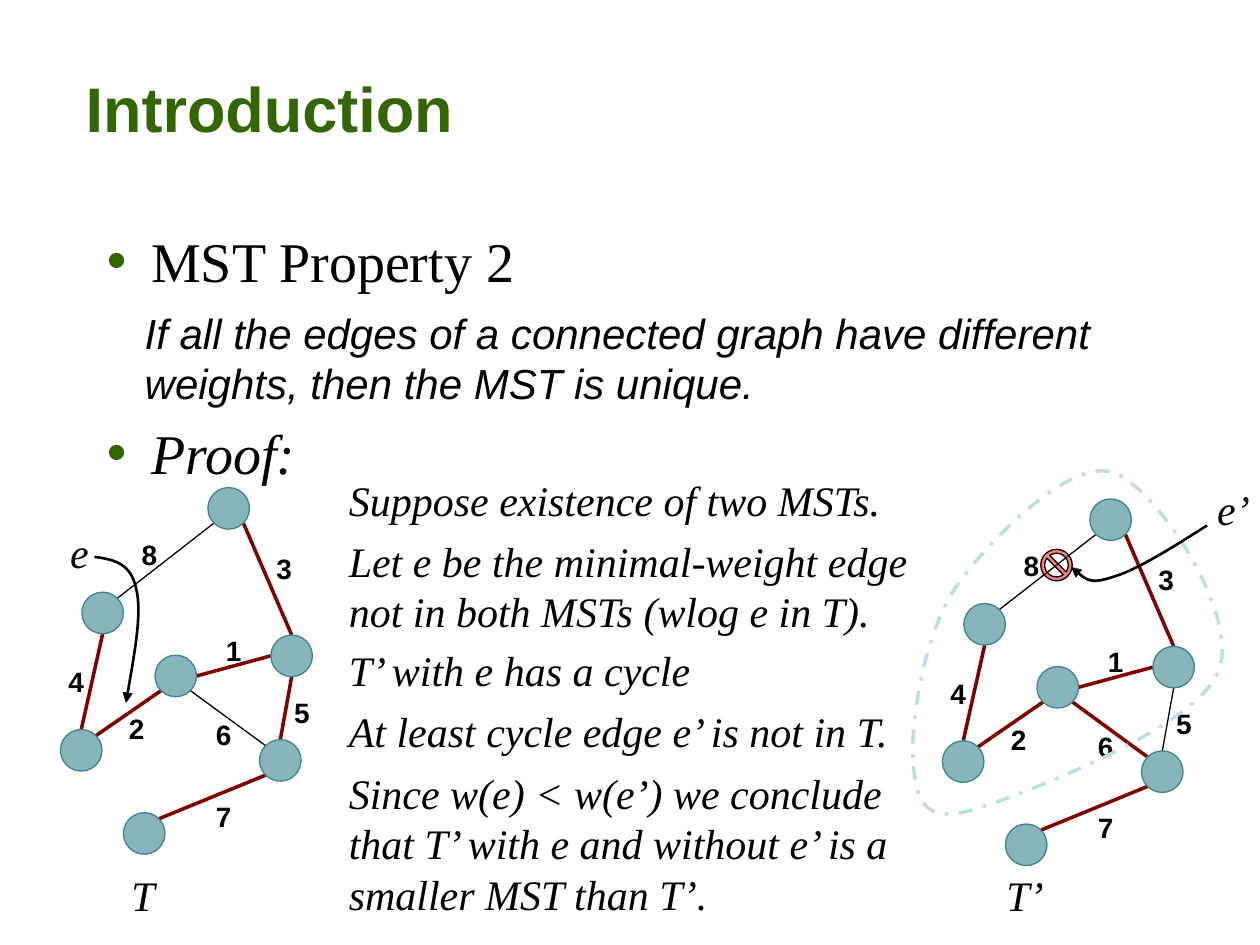
import math

from lxml import etree
from pptx import Presentation
from pptx import util as u
from pptx.dml.color import RGBColor
from pptx.enum import dml, shapes, text
from pptx.oxml import ns

BLACK = RGBColor(0, 0, 0)
GREEN = RGBColor(0x33, 0x66, 0x00)
TEAL = RGBColor(0x39, 0x85, 0x8B)
PALE = RGBColor(0xBB, 0xE0, 0xE3)
MAROON = RGBColor(0x80, 0, 0)
RED = RGBColor(0xFF, 0, 0)

SERIF, SANS = "Times New Roman", "Arial"
NODE_SIZE = 0.33

# Upper left corner of each node in the left tree
NODES = {
    "hub": (1.23, 5.2), "top": (1.65, 3.87), "low": (2.06, 5.87),
    "right": (2.15, 5.04), "bottom": (0.98, 6.45),
    "left": (0.65, 4.7), "corner": (0.48, 5.79),
}
# Compass angle, in degrees clockwise from east
SIDES = {"E": 0, "SE": 45, "S": 90, "SW": 135,
         "W": 180, "NW": 225, "N": 270, "NE": 315}
# Weight: start node and side, end node and side, label position
EDGES = {
    8: ("left", "NE", "top", "SW", (1.06, 4.19)),
    1: ("hub", "E", "right", "W", (1.73, 4.95)),
    3: ("right", "N", "top", "SE", (2.13, 4.3)),
    2: ("hub", "SW", "corner", "NE", (0.96, 5.57)),
    6: ("hub", "SE", "low", "NW", (1.65, 5.62)),
    5: ("low", "N", "right", "S", (2.27, 5.44)),
    7: ("low", "SW", "bottom", "NE", (1.65, 6.27)),
    4: ("corner", "N", "left", "S", (0.48, 5.2)),
}
# Top, width and height of each step of the proof
PROOF = [
    ("Suppose existence of two MSTs.", 3.72, 4.5, 0.5),
    ("Let e be the minimal-weight edge not in both MSTs (wlog e in T).", 4.2, 4.83, 0.9),
    ("T’ with e has a cycle", 5.07, 4.83, 0.5),
    ("At least cycle edge e’ is not in T.", 5.55, 4.83, 0.5),
    ("Since w(e) < w(e’) we conclude that T’ with e and without e’ is a smaller MST than T’.",
     6.04, 4.83, 1.3),
]
# Curves: a start point, then Bezier segments of two handles and an end point
CYCLE = [(7.25, 6.08),
         (7.28, 6.38), (7.35, 6.54), (7.75, 6.42),
         (8.15, 6.29), (9.49, 5.78), (9.67, 5.33),
         (9.85, 4.89), (9.18, 3.86), (8.83, 3.75),
         (8.49, 3.64), (7.85, 4.28), (7.58, 4.67),
         (7.32, 5.06), (7.22, 5.79), (7.25, 6.08)]
ARROW_E = [(0.75, 4.42),
           (0.9, 4.44), (1.04, 4.47), (1.08, 4.67),
           (1.13, 4.86), (1.06, 5.22), (1, 5.58)]
ARROW_E2 = [(9.58, 4.17),
            (9.3, 4.35), (9.01, 4.53), (8.83, 4.58),
            (8.65, 4.64), (8.58, 4.57), (8.5, 4.5)]


def write(frame, content, size=24, font=SERIF, color=BLACK, bold=False,
          italic=False, align=text.PP_ALIGN.LEFT):
    para = frame.paragraphs[0]
    para.alignment = align
    span = para.add_run()
    span.text = content
    span.font.size, span.font.name = u.Pt(size), font
    span.font.bold, span.font.italic = bold, italic
    span.font.color.rgb = color
    return para


def add_bullet(para):
    props = para._p.get_or_add_pPr()
    indent = u.Inches(0.24)
    props.set("marL", str(indent))
    props.set("indent", str(-indent))
    color = etree.SubElement(props, ns.qn("a:buClr"))
    etree.SubElement(color, ns.qn("a:srgbClr"), val=str(GREEN))
    etree.SubElement(props, ns.qn("a:buFont"), typeface=SANS)
    etree.SubElement(props, ns.qn("a:buChar"), char="•")


def set_fill(shape, color, opacity):
    shape.fill.solid()
    shape.fill.fore_color.rgb = color
    value = shape.fill._xPr.find(".//" + ns.qn("a:srgbClr"))
    etree.SubElement(value, ns.qn("a:alpha"), val=str(opacity * 1000))


def bend(shape):
    """Turn each three line segments of a freeform into one Bezier segment."""
    lines = list(shape._element.iter(ns.qn("a:lnTo")))
    for first in range(0, len(lines), 3):
        segment = etree.Element(ns.qn("a:cubicBezTo"))
        lines[first].addprevious(segment)
        for line in lines[first:first + 3]:
            segment.append(line[0])
            line.getparent().remove(line)


class Board:
    """Holds the current slide and draws its elements."""

    def __init__(self, slide):
        self.slide = slide

    def title(self, content):
        box = self.slide.shapes.title
        box.left, box.top = u.Inches(0.58), u.Inches(0.5)
        box.width, box.height = u.Inches(8.92), u.Inches(0.7)
        frame = box.text_frame
        frame.vertical_anchor = text.MSO_ANCHOR.TOP
        frame.auto_size = text.MSO_AUTO_SIZE.NONE
        para = write(frame, content, size=36, font=SANS, color=GREEN, bold=True)
        para.space_before = u.Pt(0)

    def text(self, content, left, top, width, height, **style):
        box = self.slide.shapes.add_textbox(*map(u.Inches, (left, top, width, height)))
        box.text_frame.word_wrap = True
        return write(box.text_frame, content, **style)

    def label(self, content, left, top, width, height, parent=None, **style):
        parent = parent or self.slide.shapes
        box = parent.add_textbox(*map(u.Inches, (left, top, width, height)))
        frame = box.text_frame
        frame.word_wrap = False
        frame.margin_left = frame.margin_right = 0
        frame.vertical_anchor = text.MSO_ANCHOR.MIDDLE
        write(frame, content, align=text.PP_ALIGN.CENTER, **style)

    def shape(self, kind, left, top, size, fill, opacity, line, parent=None):
        parent = parent or self.slide.shapes
        shape = parent.add_shape(kind, *map(u.Inches, (left, top, size, size)))
        shape.shadow.inherit = False
        set_fill(shape, fill, opacity)
        shape.line.color.rgb = line
        shape.line.width = u.Pt(0.75)
        return shape

    def edge(self, parent, start, end, in_tree):
        line = parent.add_connector(shapes.MSO_CONNECTOR.STRAIGHT,
                                    *map(u.Inches, (*start, *end)))
        line.line.color.rgb = MAROON if in_tree else BLACK
        line.line.width = u.Pt(2 if in_tree else 0.75)
        etree.SubElement(line._element.spPr, ns.qn("a:effectLst"))

    def curve(self, points, color, width, closed=False, arrow=False, dash=None):
        start, *rest = [(u.Inches(x), u.Inches(y)) for x, y in points]
        builder = self.slide.shapes.build_freeform(*start)
        builder.add_line_segments(rest, close=closed)
        shape = builder.convert_to_shape()
        bend(shape)
        shape.shadow.inherit = False
        shape.fill.background()
        shape.line.color.rgb = color
        shape.line.width = u.Pt(width)
        if dash:
            shape.line.dash_style = dash
        if arrow:
            etree.SubElement(shape.line._get_or_add_ln(), ns.qn("a:tailEnd"), type="triangle")

    def graph(self, dx, dy, outside):
        """Draw the graph; the weights in outside are not tree edges."""
        parent = self.slide.shapes.add_group_shape().shapes
        nodes = {name: (x + dx, y + dy) for name, (x, y) in NODES.items()}

        def site(name, side):
            angle, radius = math.radians(SIDES[side]), NODE_SIZE / 2
            x, y = nodes[name]
            return (x + radius + radius * math.cos(angle),
                    y + radius + radius * math.sin(angle))

        for x, y in nodes.values():
            self.shape(shapes.MSO_SHAPE.OVAL, x, y, NODE_SIZE, TEAL, 60, TEAL, parent)
        for weight, (start, side, end, end_side, (x, y)) in EDGES.items():
            self.edge(parent, site(start, side), site(end, end_side), weight not in outside)
            self.label(str(weight), x + dx, y + dy, 0.25, 0.42, parent,
                       size=16, font=SANS, bold=True)


def main():
    deck = Presentation()
    deck.slide_width, deck.slide_height = u.Inches(10), u.Inches(7.5)
    board = Board(deck.slides.add_slide(deck.slide_layouts[5]))

    board.title("Introduction")
    add_bullet(board.text(" MST Property 2", 0.75, 1.75, 6.08, 0.64, size=32))
    board.text("If all the edges of a connected graph have different weights, "
               "then the MST is unique.", 1.05, 2.39, 8.58, 1.3, font=SANS, italic=True)
    add_bullet(board.text(" Proof:", 0.75, 3.27, 6.08, 0.64, size=32, italic=True))

    board.graph(0, 0, outside={8, 6})
    board.graph(7, 0.09, outside={8, 5})
    for step, top, width, height in PROOF:
        board.text(step, 2.67, top, width, height, italic=True)
    board.label("T", 0.8, 6.85, 0.67, 0.5, italic=True)
    board.label("T’", 7.8, 6.85, 0.67, 0.5, italic=True)

    board.curve(CYCLE, PALE, 2, closed=True, dash=dml.MSO_LINE.DASH_DOT)
    board.label("e", 0.42, 4.17, 0.42, 0.42, italic=True)
    board.curve(ARROW_E, BLACK, 1.5, arrow=True)
    board.label("e’", 9.58, 3.83, 0.42, 0.42, italic=True)
    board.curve(ARROW_E2, BLACK, 1.5, arrow=True)
    ban = board.shape(shapes.MSO_SHAPE.NO_SYMBOL, 8.26, 4.36, 0.25, RED, 50, BLACK)
    ban.adjustments[0] = 0.125
    deck.save("out.pptx")


if __name__ == "__main__":
    main()
